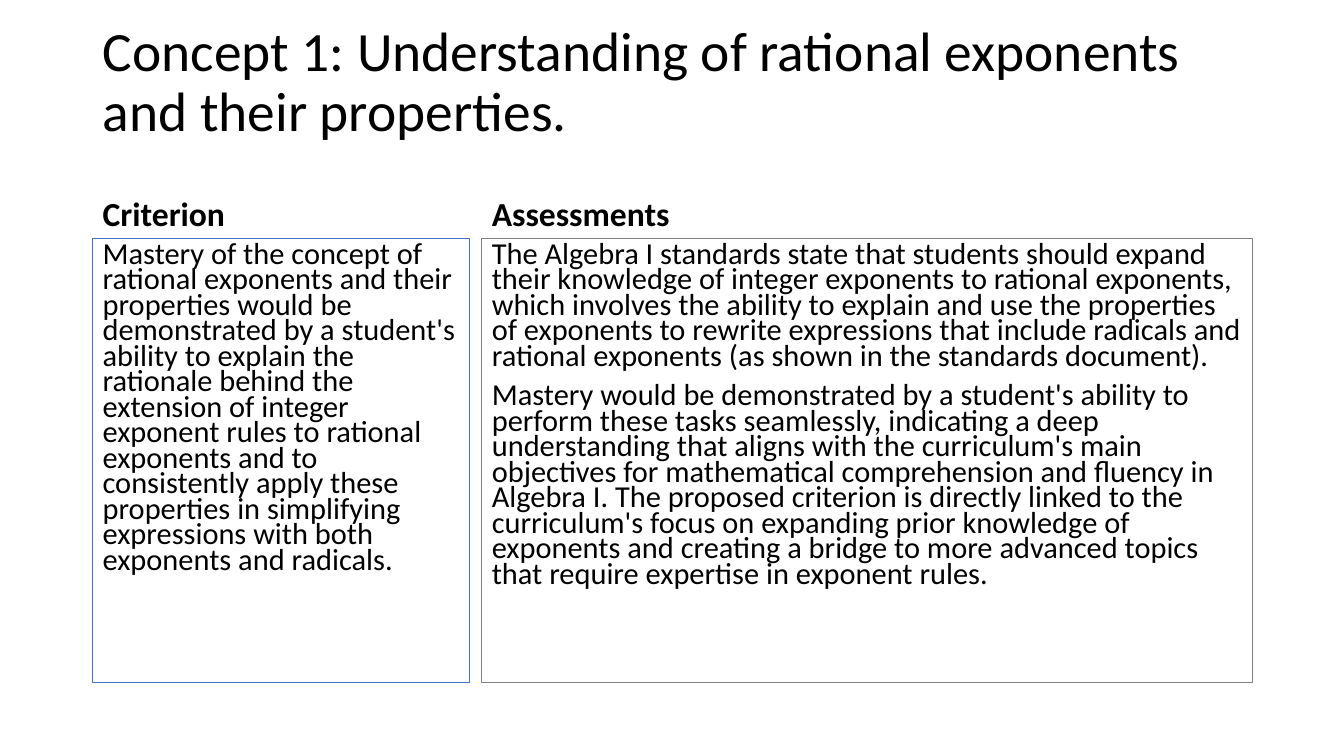
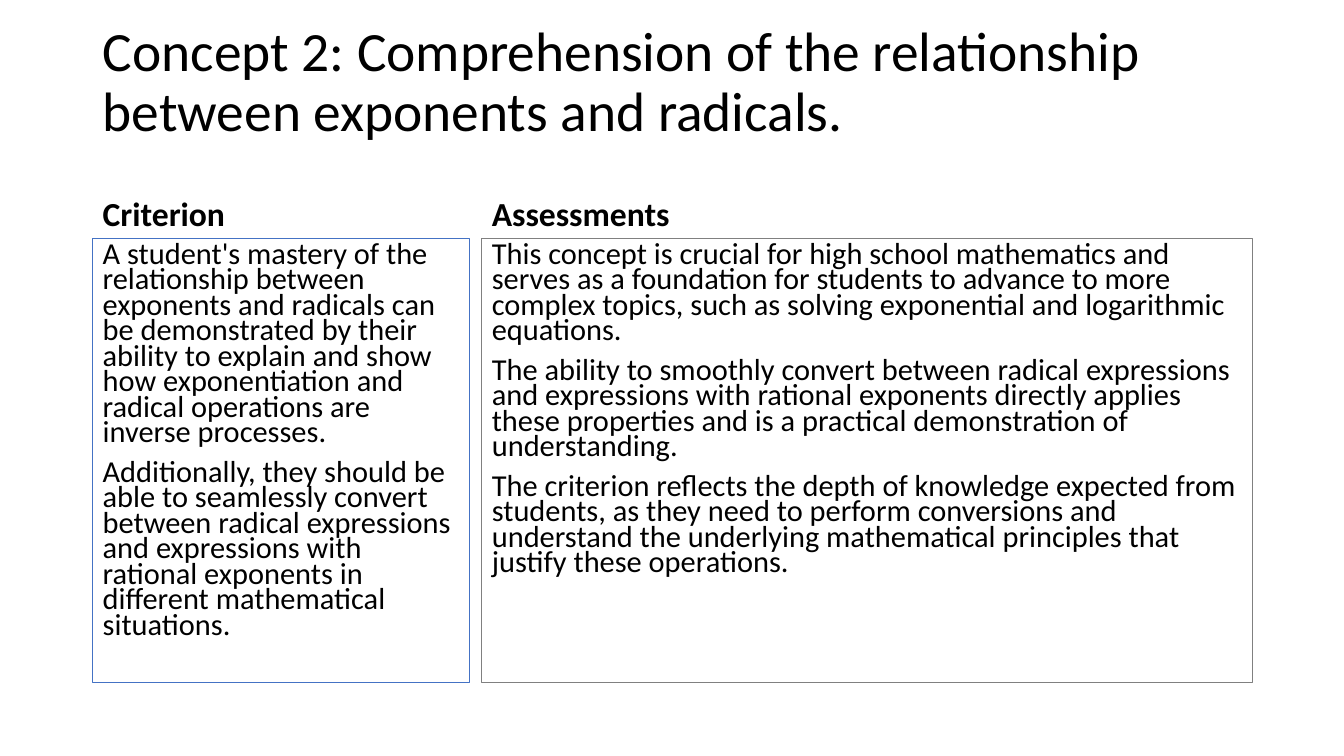
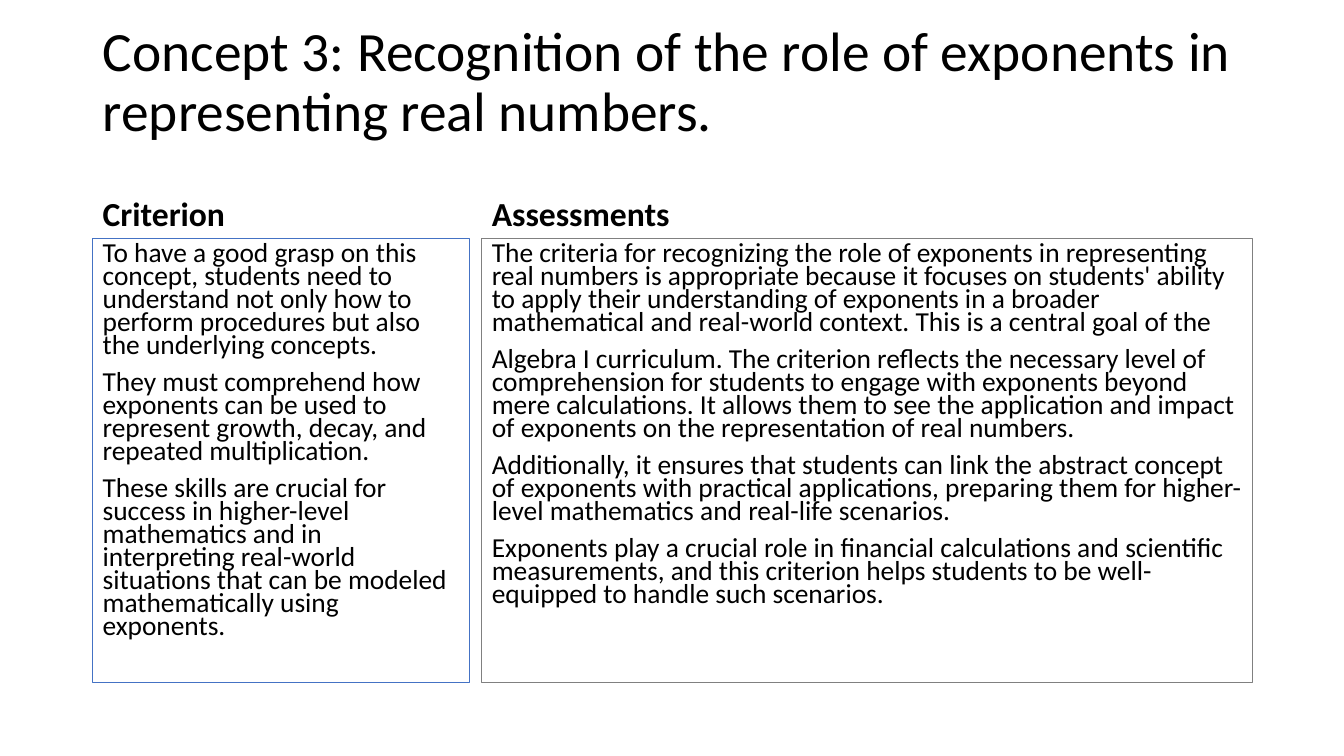
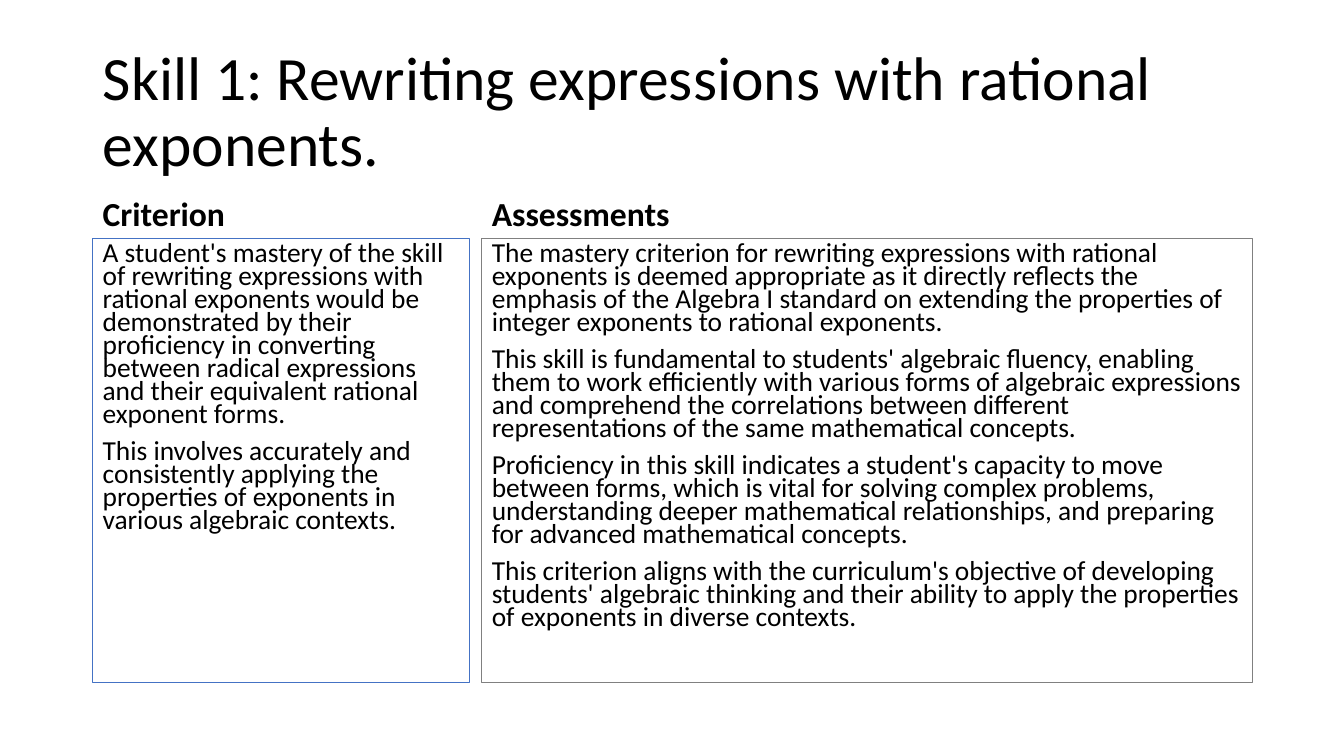
from pptx import Presentation
from pptx import util as u
from pptx.dml.color import RGBColor
from pptx.enum import text

SLIDES = [
    {
        "title": "Concept 1: Understanding of rational exponents and their properties.",
        "head": 39.6, "low": 0.65, "size": 21.7,
        "cols": [
            ["Mastery of the concept of rational exponents and their properties would be demonstrated by a student's ability to explain the rationale behind the extension of integer exponent rules to rational exponents and to consistently apply these properties in simplifying expressions with both exponents and radicals."],
            ["The Algebra I standards state that students should expand their knowledge of integer exponents to rational exponents, which involves the ability to explain and use the properties of exponents to rewrite expressions that include radicals and rational exponents (as shown in the standards document).",
             "Mastery would be demonstrated by a student's ability to perform these tasks seamlessly, indicating a deep understanding that aligns with the curriculum's main objectives for mathematical comprehension and fluency in Algebra I. The proposed criterion is directly linked to the curriculum's focus on expanding prior knowledge of exponents and creating a bridge to more advanced topics that require expertise in exponent rules."],
        ],
    },
    {
        "title": "Concept 2: Comprehension of the relationship between exponents and radicals.",
        "head": 39.6, "low": 0.65, "size": 21.7,
        "cols": [
            ["A student's mastery of the relationship between exponents and radicals can be demonstrated by their ability to explain and show how exponentiation and radical operations are inverse processes.",
             "Additionally, they should be able to seamlessly convert between radical expressions and expressions with rational exponents in different mathematical situations."],
            ["This concept is crucial for high school mathematics and serves as a foundation for students to advance to more complex topics, such as solving exponential and logarithmic equations.",
             "The ability to smoothly convert between radical expressions and expressions with rational exponents directly applies these properties and is a practical demonstration of understanding.",
             "The criterion reflects the depth of knowledge expected from students, as they need to perform conversions and understand the underlying mathematical principles that justify these operations."],
        ],
    },
    {
        "title": "Concept 3: Recognition of the role of exponents in representing real numbers.",
        "head": 39.6, "low": 0.65, "size": 19.6,
        "cols": [
            ["To have a good grasp on this concept, students need to understand not only how to perform procedures but also the underlying concepts.",
             "They must comprehend how exponents can be used to represent growth, decay, and repeated multiplication.",
             "These skills are crucial for success in higher-level mathematics and in interpreting real-world situations that can be modeled mathematically using exponents."],
            ["The criteria for recognizing the role of exponents in representing real numbers is appropriate because it focuses on students' ability to apply their understanding of exponents in a broader mathematical and real-world context. This is a central goal of the",
             "Algebra I curriculum. The criterion reflects the necessary level of comprehension for students to engage with exponents beyond mere calculations. It allows them to see the application and impact of exponents on the representation of real numbers.",
             "Additionally, it ensures that students can link the abstract concept of exponents with practical applications, preparing them for higher-level mathematics and real-life scenarios.",
             "Exponents play a crucial role in financial calculations and scientific measurements, and this criterion helps students to be well-equipped to handle such scenarios."],
        ],
    },
    {
        "title": "Skill 1: Rewriting expressions with rational exponents.",
        "head": 44, "low": 0.05, "size": 19.6,
        "cols": [
            ["A student's mastery of the skill of rewriting expressions with rational exponents would be demonstrated by their proficiency in converting between radical expressions and their equivalent rational exponent forms.",
             "This involves accurately and consistently applying the properties of exponents in various algebraic contexts."],
            ["The mastery criterion for rewriting expressions with rational exponents is deemed appropriate as it directly reflects the emphasis of the Algebra I standard on extending the properties of integer exponents to rational exponents.",
             "This skill is fundamental to students' algebraic fluency, enabling them to work efficiently with various forms of algebraic expressions and comprehend the correlations between different representations of the same mathematical concepts.",
             "Proficiency in this skill indicates a student's capacity to move between forms, which is vital for solving complex problems, understanding deeper mathematical relationships, and preparing for advanced mathematical concepts.",
             "This criterion aligns with the curriculum's objective of developing students' algebraic thinking and their ability to apply the properties of exponents in diverse contexts."],
        ],
    },
]

COLORS = {"ink": "000000", "blue": "4472C4", "gray": "808080"}
FONT = "Calibri"
LEFT, GAP = 0.92, 0.12
COLS = [("Criterion", 3.74, "blue"), ("Assessments", 7.64, "gray")]
WIDE = sum(col[1] for col in COLS) + GAP
TITLE = (0.4, 1.45)
LABEL = (1.78, 0.59)
BODY = (LABEL[0] + LABEL[1], 4.4)
ANCHOR = text.MSO_ANCHOR


def color(name):
    return RGBColor.from_string(COLORS[name])


def apply(item, form):
    for key, value in form.items():
        setattr(item, key, value)


def write(shape, lines, size, anchor, pitch, before=10, bold=False, low=0.05):
    frame = shape.text_frame
    frame.text = "\n".join(lines)
    apply(frame, {
        "word_wrap": True,
        "auto_size": text.MSO_AUTO_SIZE.NONE,
        "vertical_anchor": anchor,
        "margin_bottom": u.Inches(low),
    })
    for para in frame.paragraphs:
        apply(para, {
            "alignment": text.PP_ALIGN.LEFT,
            "line_spacing": pitch,
            "space_before": u.Pt(before),
        })
        for run in para.runs:
            apply(run.font, {"name": FONT, "size": u.Pt(size), "bold": bold})
            run.font.color.rgb = color("ink")


def add_box(slide, left, wide, band):
    top, high = band
    return slide.shapes.add_textbox(*map(u.Inches, (left, top, wide, high)))


def add_title(slide, data):
    shape = slide.shapes.title
    top, high = TITLE
    apply(shape, {
        "left": u.Inches(LEFT), "top": u.Inches(top),
        "width": u.Inches(WIDE), "height": u.Inches(high),
    })
    write(shape, [data["title"]], data["head"], ANCHOR.MIDDLE, 0.9,
          before=0, low=data["low"])


def add_cols(slide, data):
    left = LEFT
    for (name, wide, edge), lines in zip(COLS, data["cols"]):
        label = add_box(slide, left, wide, LABEL)
        write(label, [name], 24, ANCHOR.BOTTOM, 0.9, bold=True)
        body = add_box(slide, left, wide, BODY)
        body.line.color.rgb = color(edge)
        body.line.width = u.Pt(0.75)
        write(body, lines, data["size"], ANCHOR.TOP, 0.7)
        left += wide + GAP


def main():
    deck = Presentation()
    apply(deck, {"slide_width": u.Inches(13.33), "slide_height": u.Inches(7.5)})
    for data in SLIDES:
        slide = deck.slides.add_slide(deck.slide_layouts[5])
        add_title(slide, data)
        add_cols(slide, data)
    deck.save("out.pptx")


if __name__ == "__main__":
    main()
